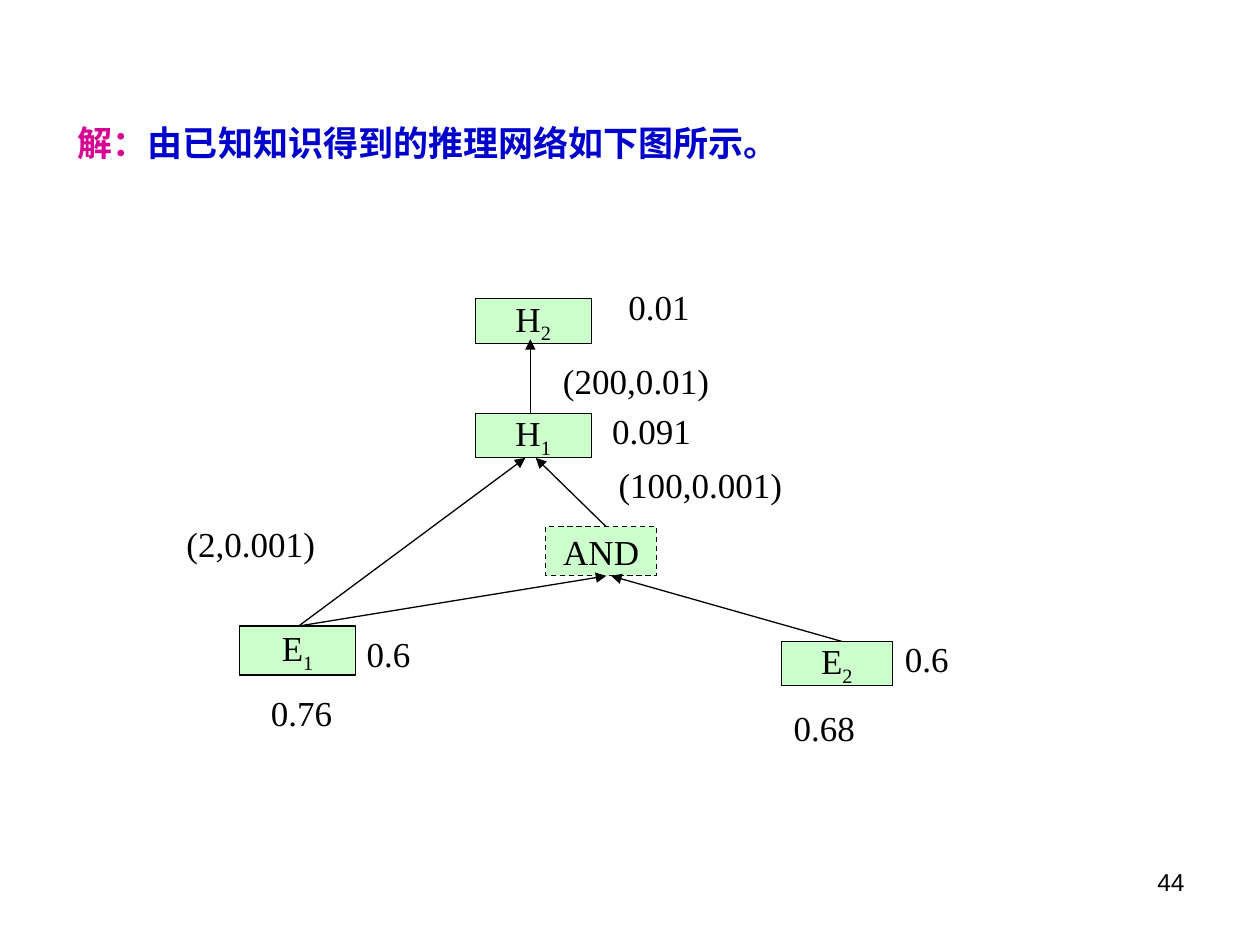
"""Build a slide showing an inference network with its prior and rule values."""
from pptx import Presentation
from pptx.dml.color import RGBColor as Rgb
from pptx.enum.dml import MSO_LINE as Dash
from pptx.enum.shapes import MSO_CONNECTOR as Connector, MSO_SHAPE as Shape
from pptx.enum.text import MSO_ANCHOR as Anchor, PP_ALIGN as Align
from pptx.oxml.ns import qn
from pptx.util import Cm, Pt
from lxml.etree import SubElement

COLORS = {"black": "000000", "green": "CCFFCC", "pink": "D60093", "blue": "0000CC"}
SERIF = {"name": "Times New Roman", "size": Pt(20)}
HEADING = {"name": "Arial", "size": Pt(20), "bold": True}
NUMBER = {"name": "Arial", "size": Pt(14)}
WIDE, TIGHT = (0.25, 0.13, 0.25, 0.13), (0.05, 0.03, 0, 0.03)
INDENTED = (0.88, 0.13, 0.25, 0.13)

TITLE = [("解：", "pink"), ("由已知知识得到的推理网络如下图所示。", "blue")]
NODES = {
    "H2": ("H", "2", (9.58, 6.02, 2.34, 0.9)),
    "H1": ("H", "1", (9.58, 8.33, 2.34, 0.9)),
    "AND": ("AND", "", (11, 10.62, 2.24, 0.99)),
    "E1": ("E", "1", (4.83, 12.62, 2.34, 0.99)),
    "E2": ("E", "2", (15.75, 12.93, 2.24, 0.89)),
}
ARROWS = [
    ("E1", 6.02, "AND", 12.22, 0),
    ("E2", 16.97, "AND", 12.32, 0),
    ("AND", 12.22, "H1", 10.8, 0),
    ("E1", 6.02, "H1", 10.59, 0),
    ("H1", 10.69, "H2", 10.69, 0.08),
]
PROBABILITIES = [
    ("0.01", 12.62, 5.72, 1.32),
    ("0.091", 12.29, 8.23, 1.91),
    ("0.6", 7.34, 12.73, 1.02),
    ("0.6", 18.19, 12.83, 1.02),
    ("0.76", 5.41, 13.92, 1.52),
    ("0.68", 15.95, 14.22, 1.83),
]
RULE_STRENGTHS = [
    ("(2,0.001)", 3.51, 10.41, 4.06),
    ("(100,0.001)", 12.22, 9.22, 4.57),
    ("(200,0.01)", 11.1, 7.11, 4.17),
]


def set_all(target, values):
    for name, value in values.items():
        setattr(target, name, value)


def color(name):
    return Rgb.from_string(COLORS[name])


def set_margins(frame, margins):
    sides = ("margin_left", "margin_top", "margin_right", "margin_bottom")
    set_all(frame, {side: Cm(margin) for side, margin in zip(sides, margins)})


def add_run(paragraph, text, style, color_name="black"):
    run = paragraph.add_run()
    run.text = text
    set_all(run.font, style)
    run.font.color.rgb = color(color_name)
    return run


def add_text(slide, runs, box, style, margins, **paragraph_format):
    frame = slide.shapes.add_textbox(*map(Cm, box)).text_frame
    frame.word_wrap = True
    set_margins(frame, margins)
    paragraph = frame.paragraphs[0]
    set_all(paragraph, paragraph_format)
    for text, color_name in runs:
        add_run(paragraph, text, style, color_name)


def add_node(slide, name, subscript, box):
    shape = slide.shapes.add_shape(Shape.RECTANGLE, *map(Cm, box))
    shape.shadow.inherit = False
    shape.fill.solid()
    shape.fill.fore_color.rgb = color("green")
    shape.line.color.rgb = color("black")
    shape.line.width = Pt(0.75)
    if not subscript:
        shape.line.dash_style = Dash.DASH
    frame = shape.text_frame
    set_all(frame, {"word_wrap": False, "vertical_anchor": Anchor.MIDDLE})
    set_margins(frame, WIDE)
    paragraph = frame.paragraphs[0]
    paragraph.alignment = Align.CENTER
    add_run(paragraph, name, SERIF)
    if subscript:
        run = add_run(paragraph, subscript, SERIF)
        run._r.get_or_add_rPr().set("baseline", "-25000")


def add_arrow(slide, source, start_x, target, end_x, overlap):
    start_y = NODES[source][2][1]
    _, top, _, height = NODES[target][2]
    ends = (start_x, start_y, end_x, top + height - overlap)
    connector = slide.shapes.add_connector(Connector.STRAIGHT, *map(Cm, ends))
    connector.line.color.rgb = color("black")
    connector.line.width = Pt(0.75)
    SubElement(connector.line._get_or_add_ln(), qn("a:tailEnd"), type="triangle")
    SubElement(connector._element.spPr, qn("a:effectLst"))


def main():
    presentation = Presentation()
    set_all(presentation, {"slide_width": Cm(25.4), "slide_height": Cm(19.05)})
    slide = presentation.slides.add_slide(presentation.slide_layouts[6])
    add_text(slide, TITLE, (0.69, 2.41, 23.39, 1.19), HEADING, INDENTED, line_spacing=0.9)
    for node in NODES.values():
        add_node(slide, *node)
    for arrow in ARROWS:
        add_arrow(slide, *arrow)
    for labels, height, margins in ((PROBABILITIES, 0.91, TIGHT), (RULE_STRENGTHS, 1.12, WIDE)):
        for text, left, top, width in labels:
            add_text(slide, [(text, "black")], (left, top, width, height), SERIF, margins)
    add_text(slide, [("44", "black")], (18.21, 17.35, 5.92, 1.32), NUMBER, WIDE,
             alignment=Align.RIGHT)
    presentation.save("out.pptx")


if __name__ == "__main__":
    main()
